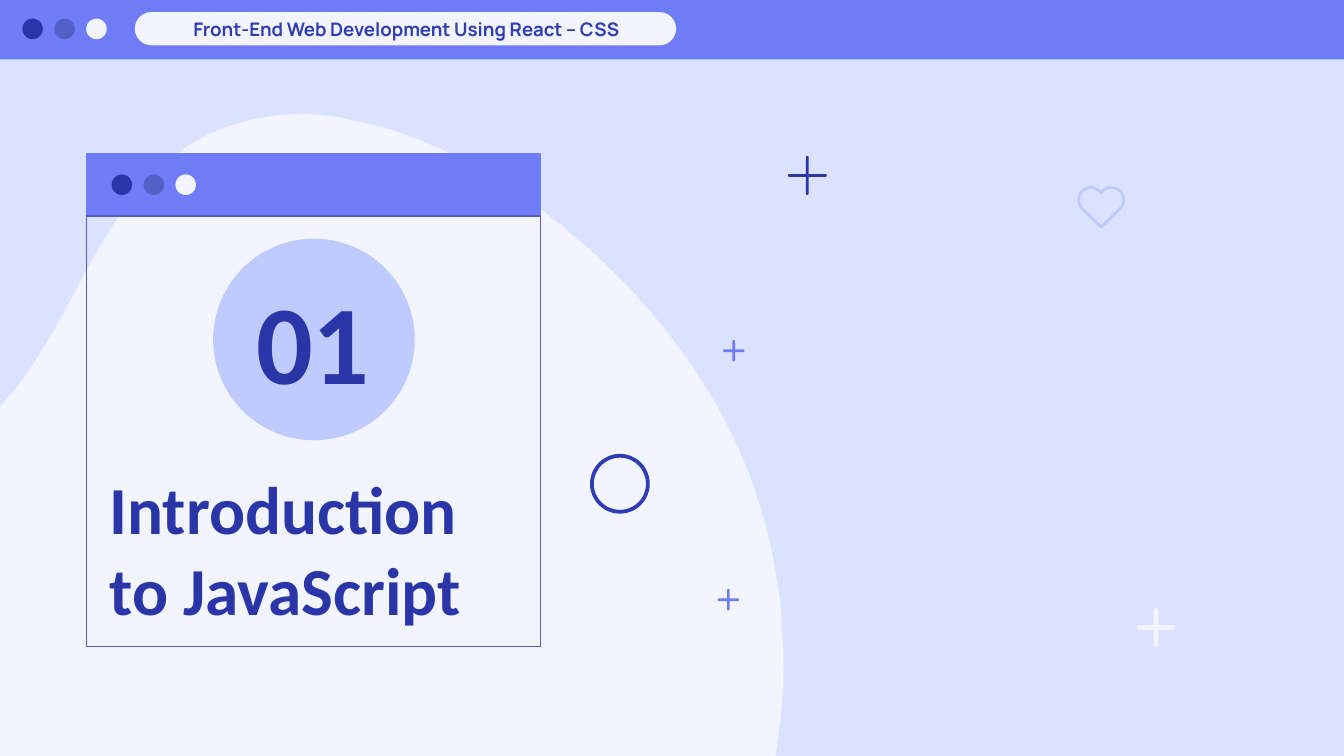
import pptx
import pptx.util
import pptx.dml.color
import pptx.enum.shapes
import pptx.enum.text

Pt = pptx.util.Pt
SHAPE = pptx.enum.shapes.MSO_SHAPE
ALIGN = pptx.enum.text.PP_ALIGN
ANCHOR = pptx.enum.text.MSO_ANCHOR

COLORS = {
    "sky": "DBE2FF",
    "pale": "F2F5FF",
    "soft": "BFCBFC",
    "violet": "6F7CF8",
    "slate": "5560C7",
    "indigo": "2F3CB4",
    "navy": "2A36A7",
}

# Cubic curves: two control points and an end point each
BLOB_START = (161.3, 61.2)
BLOB = [
    ((144.7, 61.2), (127.4, 64.8), (111.6, 72)),
    ((54.7, 100.1), (43.2, 167.8), (4.3, 213.1)),
    ((-10.8, 230.4), (-30.2, 244.1), (-50.4, 258.5)),
    ((-82.1, 281.5), (-112.3, 310.3), (-126.7, 348.5)),
    ((-139.7, 382.3), (-141.1, 421.9), (-132.5, 457.2)),
    ((-110.9, 549.4), (-21.6, 614.9), (67, 635)),
    ((87.8, 639.4), (108.7, 642.2), (129.6, 642.2)),
    ((232.6, 642.2), (333.4, 585.4), (384.5, 493.9)),
    ((401, 463), (412.6, 429.1), (416.9, 394.6)),
    ((419.8, 375.8), (420.5, 356.4), (419, 337.7)),
    ((419, 331.9), (418.3, 326.2), (417.6, 320.4)),
    ((414.7, 296.6), (409, 273.6), (400.3, 251.3)),
    ((375.8, 190.1), (328.3, 136.8), (272.2, 100.1)),
    ((246.2, 83.5), (217.4, 69.1), (186.5, 64.1)),
    ((178.6, 61.9), (169.9, 61.2), (161.3, 61.2)),
]
HEART_X = 589.9
HEART_START = (HEART_X, 103.2)
HEART_LEFT = [
    ((588.4, 101.5), (586.5, 100.5), (584.3, 100.5)),
    ((580.7, 100.5), (577.9, 103.4), (577.9, 107.1)),
    ((577.9, 109), (578.6, 110.6), (579.9, 111.9)),
]
HEART_TIP = (HEART_X, 121.7)


def rgb(name):
    return pptx.dml.color.RGBColor.from_string(COLORS[name])


def flatten(start, curves, steps=16):
    """Points along a chain of cubic curves."""
    points = [start]
    for a, b, end in curves:
        p0 = points[-1]
        for i in range(1, steps + 1):
            t = i / steps
            u = 1 - t
            points.append(tuple(
                u**3 * p0[k] + 3 * u * u * t * a[k] + 3 * u * t * t * b[k] + t**3 * end[k]
                for k in (0, 1)))
    return points


def write(tf, text, font="Calibri", size=36, color="navy", bold=True,
          align=ALIGN.LEFT, anchor=ANCHOR.TOP):
    tf.word_wrap = True
    tf.vertical_anchor = anchor
    tf.margin_left = tf.margin_right = Pt(7.2)
    tf.margin_top = tf.margin_bottom = 0
    p = tf.paragraphs[0]
    p.alignment = align
    r = p.add_run()
    r.text = text
    r.font.name = font
    r.font.size = Pt(size)
    r.font.bold = bold
    r.font.color.rgb = rgb(color)


class Deck:
    def __init__(self):
        self.prs = pptx.Presentation()
        self.prs.slide_width, self.prs.slide_height = Pt(720), Pt(405)
        self.s = self.prs.slides.add_slide(self.prs.slide_layouts[6])
        self.s.background.fill.solid()
        self.s.background.fill.fore_color.rgb = rgb("sky")

    def paint(self, sp, fill, line, weight):
        sp.shadow.inherit = False
        if fill:
            sp.fill.solid()
            sp.fill.fore_color.rgb = rgb(fill)
        else:
            sp.fill.background()
        if line:
            sp.line.color.rgb = rgb(line)
            sp.line.width = Pt(weight)
        else:
            sp.line.fill.background()
        return sp

    def shape(self, kind, x, y, w, h, fill=None, line=None, weight=0.75):
        sp = self.s.shapes.add_shape(kind, Pt(x), Pt(y), Pt(w), Pt(h))
        return self.paint(sp, fill, line, weight)

    def pill(self, x, y, w, h, fill):
        self.shape(SHAPE.ROUNDED_RECTANGLE, x, y, w, h, fill).adjustments[0] = 0.5

    def outline(self, points, fill=None, line=None, weight=0.75):
        emu = [(Pt(x), Pt(y)) for x, y in points]
        builder = self.s.shapes.build_freeform(*emu[0])
        builder.add_line_segments(emu[1:], close=True)
        return self.paint(builder.convert_to_shape(), fill, line, weight)

    def window_dots(self, x, y):
        for i, fill in enumerate(("navy", "slate", "pale")):
            self.shape(SHAPE.OVAL, x + 17.1 * i, y, 11, 11, fill)

    def plus(self, cx, cy, size, thick, fill):
        for w, h in ((thick, size), (size, thick)):
            self.pill(cx - w / 2, cy - h / 2, w, h, fill)

    def text(self, x, y, w, h, text, **fmt):
        sp = self.s.shapes.add_textbox(Pt(x), Pt(y), Pt(w), Pt(h))
        write(sp.text_frame, text, **fmt)


def main():
    deck = Deck()

    # Background blob and browser bar
    deck.outline(flatten(BLOB_START, BLOB), fill="pale")
    deck.shape(SHAPE.RECTANGLE, -1.4, -1.4, 722.8, 33.2, "violet")
    deck.window_dots(12, 10)
    deck.pill(72.2, 6.5, 290, 17.8, "pale")

    # Section window
    deck.shape(SHAPE.RECTANGLE, 46.5, 82.5, 243, 33.2, "violet", "violet")
    deck.window_dots(59.8, 93.5)
    deck.shape(SHAPE.RECTANGLE, 46.5, 115.7, 243, 230.8, line="slate")
    deck.shape(SHAPE.OVAL, 114.2, 127.9, 108, 108, "soft")
    deck.text(51.6, 250.6, 233.3, 87.1, "Introduction to JavaScript")
    deck.text(119.5, 146.2, 96.5, 72, "01", size=60, align=ALIGN.CENTER)

    # Scattered decorations
    for plus in ((619.3, 336.2, 20.9, 2.6, "pale"),
                 (393.1, 187.9, 11.5, 1.4, "violet"),
                 (432.5, 94, 20.9, 1.5, "navy"),
                 (390.2, 321.3, 11.5, 1.4, "violet")):
        deck.plus(*plus)
    left = flatten(HEART_START, HEART_LEFT, 8)
    right = [(2 * HEART_X - x, y) for x, y in reversed(left[1:])]
    deck.outline(left + [HEART_TIP] + right, line="soft", weight=1.5)
    deck.shape(SHAPE.OVAL, 317.1, 244.2, 30, 30, line="indigo", weight=2)

    # Address bar title
    deck.text(81.4, 6.5, 272.2, 17.8, "Front-End Web Development Using React – CSS",
              font="Manrope", size=10, color="indigo",
              align=ALIGN.CENTER, anchor=ANCHOR.MIDDLE)

    deck.prs.save("out.pptx")


if __name__ == "__main__":
    main()
